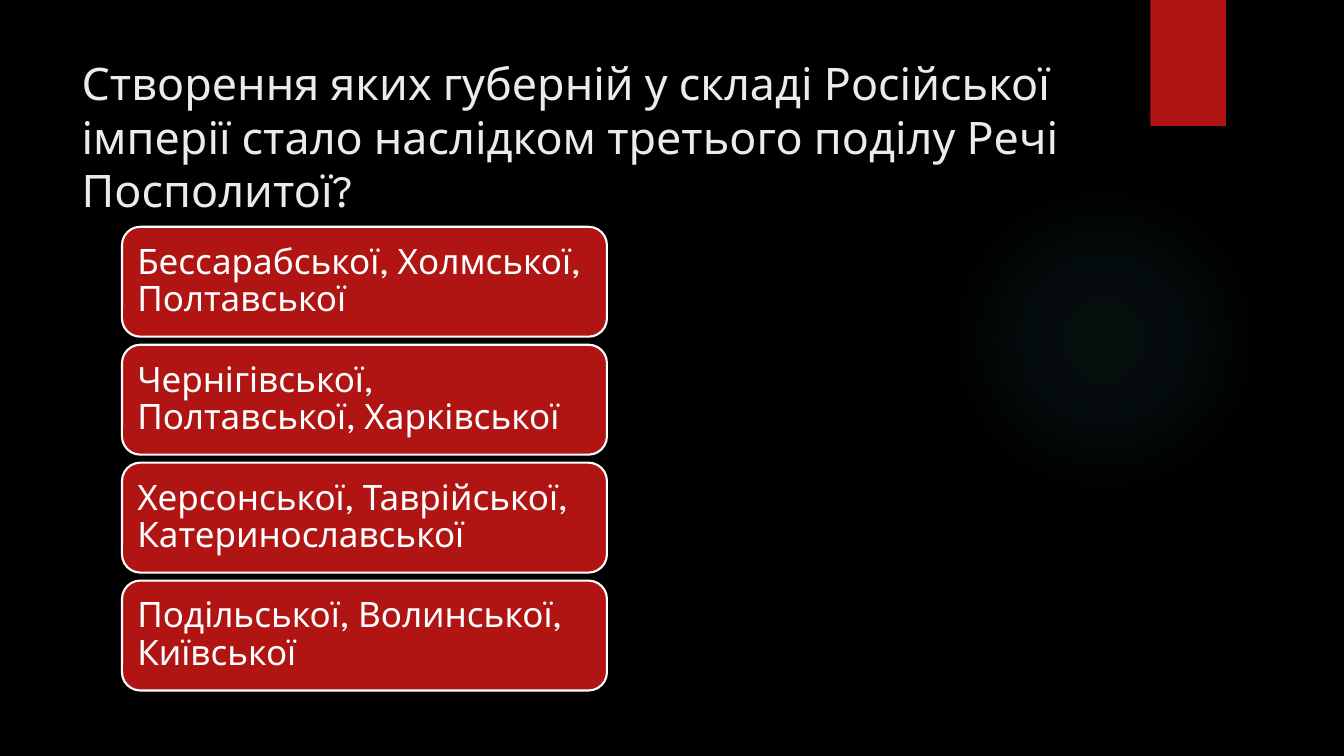
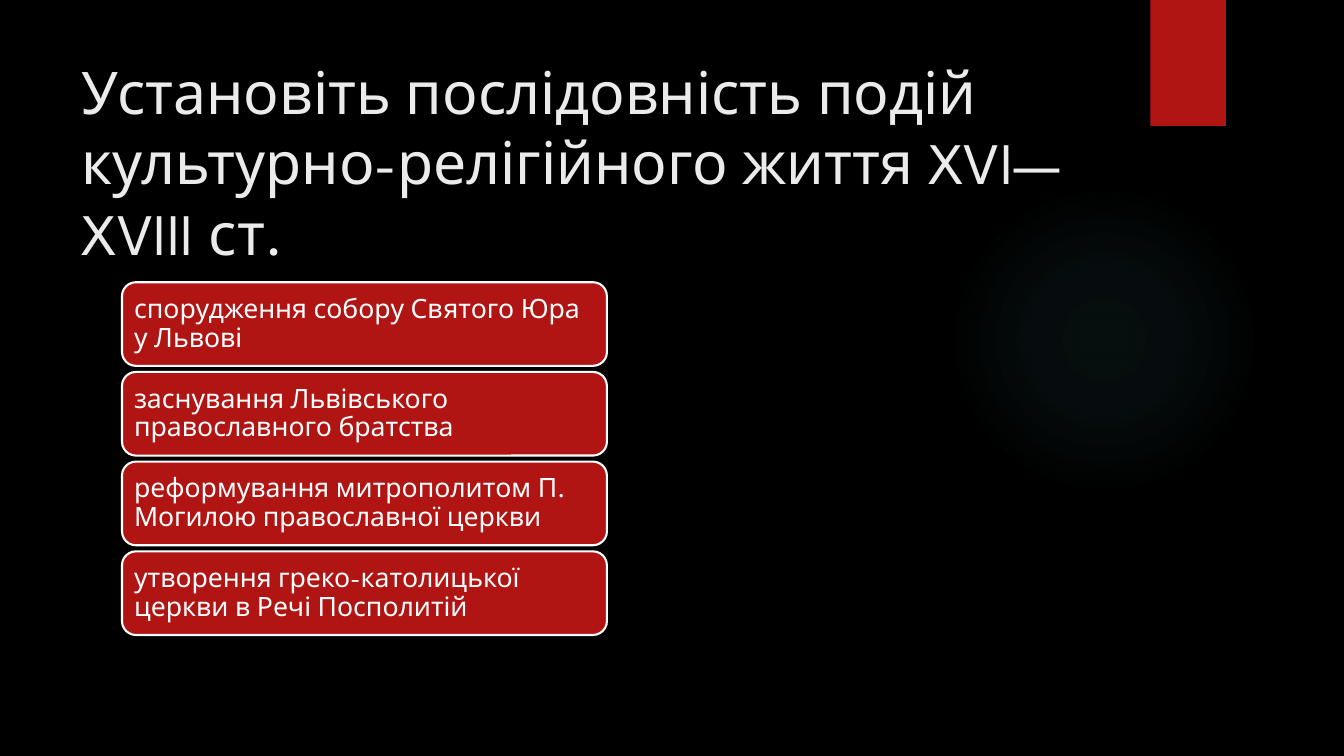
import pptx
import pptx.dml.color
import pptx.enum.shapes
import pptx.enum.text
import pptx.oxml
import pptx.oxml.ns
import pptx.util

Inches = pptx.util.Inches
Pt = pptx.util.Pt
RGBColor = pptx.dml.color.RGBColor
Shape = pptx.enum.shapes.MSO_SHAPE
Align = pptx.enum.text.PP_ALIGN
Anchor = pptx.enum.text.MSO_ANCHOR

BLACK = RGBColor(0x00, 0x00, 0x00)
RED = RGBColor(0xB0, 0x15, 0x13)
WHITE = RGBColor(0xFF, 0xFF, 0xFF)
PALE = RGBColor(0xEB, 0xEB, 0xEB)
TEAL = RGBColor(0x50, 0xB9, 0xC1)
FONT = "League Spartan"

# Title, title size, then card top, height, pitch, inset, text size and texts
QUIZ = [
    ("Створення яких губерній у складі Російської імперії стало наслідком "
     "третього поділу Речі Посполитої?", 32,
     2.25, 1.09, 1.17, 0.1, 25,
     ["Бессарабської, Холмської, Полтавської",
      "Чернігівської, Полтавської, Харківської",
      "Херсонської, Таврійської, Катеринославської",
      "Подільської, Волинської, Київської"]),
    ("Установіть послідовність подій культурно-релігійного життя "
     "XVI—XVIII ст.", 42,
     2.8, 0.83, 0.89, 0.08, 19,
     ["спорудження собору Святого Юра у Львові",
      "заснування Львівського православного братства",
      "реформування митрополитом П. Могилою православної церкви",
      "утворення греко-католицької церкви в Речі Посполитій"]),
]


def draw(slide, kind, left, top, width, height):
    shape = slide.shapes.add_shape(
        kind, Inches(left), Inches(top), Inches(width), Inches(height))
    shape.shadow.inherit = False
    shape.fill.solid()
    shape.fill.fore_color.rgb = RED
    shape.line.fill.background()
    return shape


def write(frame, text, size, color):
    frame.text = text
    frame.word_wrap = True
    frame.auto_size = pptx.enum.text.MSO_AUTO_SIZE.NONE
    para = frame.paragraphs[0]
    para.alignment = Align.LEFT
    font = para.runs[0].font
    font.name, font.size = FONT, Pt(size)
    font.color.rgb = color
    return para


deck = pptx.Presentation()
deck.slide_width = Inches(13.33)
deck.slide_height = Inches(7.5)

# Shared background and title place
layout = deck.slide_layouts[5]
back = deck.slide_master.background.fill
back.solid()
back.fore_color.rgb = BLACK
head = layout.placeholders[0]
head.left, head.top = Inches(0.71), Inches(0.5)
head.width, head.height = Inches(10.29), Inches(1.53)
head.text_frame.vertical_anchor = Anchor.TOP

slides = [deck.slides.add_slide(layout) for _ in QUIZ]

# Shared glow and red tab, moved from the first slide to the layout
glow = draw(slides[0], Shape.OVAL, 9.41, 1.83, 3.08, 3.08)
tab = draw(slides[0], Shape.RECTANGLE, 11.41, 0, 0.75, 1.25)
stops = "".join(
    f'<a:gs pos="{pos}000"><a:srgbClr val="{TEAL}">'
    f'<a:alpha val="{alpha}000"/></a:srgbClr></a:gs>'
    for pos, alpha in [(0, 7), (36, 6), (69, 0)])
grad = pptx.oxml.parse_xml(
    f'<a:gradFill {pptx.oxml.ns.nsdecls("a")}><a:gsLst>{stops}</a:gsLst>'
    '<a:path path="circle"><a:fillToRect l="50000" t="50000" r="50000" '
    'b="50000"/></a:path></a:gradFill>')
props = glow.element.spPr
props.replace(props.find(pptx.oxml.ns.qn("a:solidFill")), grad)
for place, shape in enumerate([glow, tab], start=2):
    layout.shapes.element.insert(place, shape.element)

# Questions with their answer cards
for slide, quiz in zip(slides, QUIZ):
    title, size, top, height, pitch, inset, small, texts = quiz
    write(slide.shapes.title.text_frame, title, size, PALE)
    for row, text in enumerate(texts):
        card = draw(slide, Shape.ROUNDED_RECTANGLE,
                    1.21, top + row * pitch, 4.81, height)
        card.line.color.rgb = WHITE
        card.line.width = Pt(1.5)
        frame = card.text_frame
        frame.margin_left = frame.margin_right = Inches(inset)
        frame.margin_top = frame.margin_bottom = Inches(inset)
        frame.vertical_anchor = Anchor.MIDDLE
        write(frame, text, small, WHITE).line_spacing = 0.9

deck.save("out.pptx")
